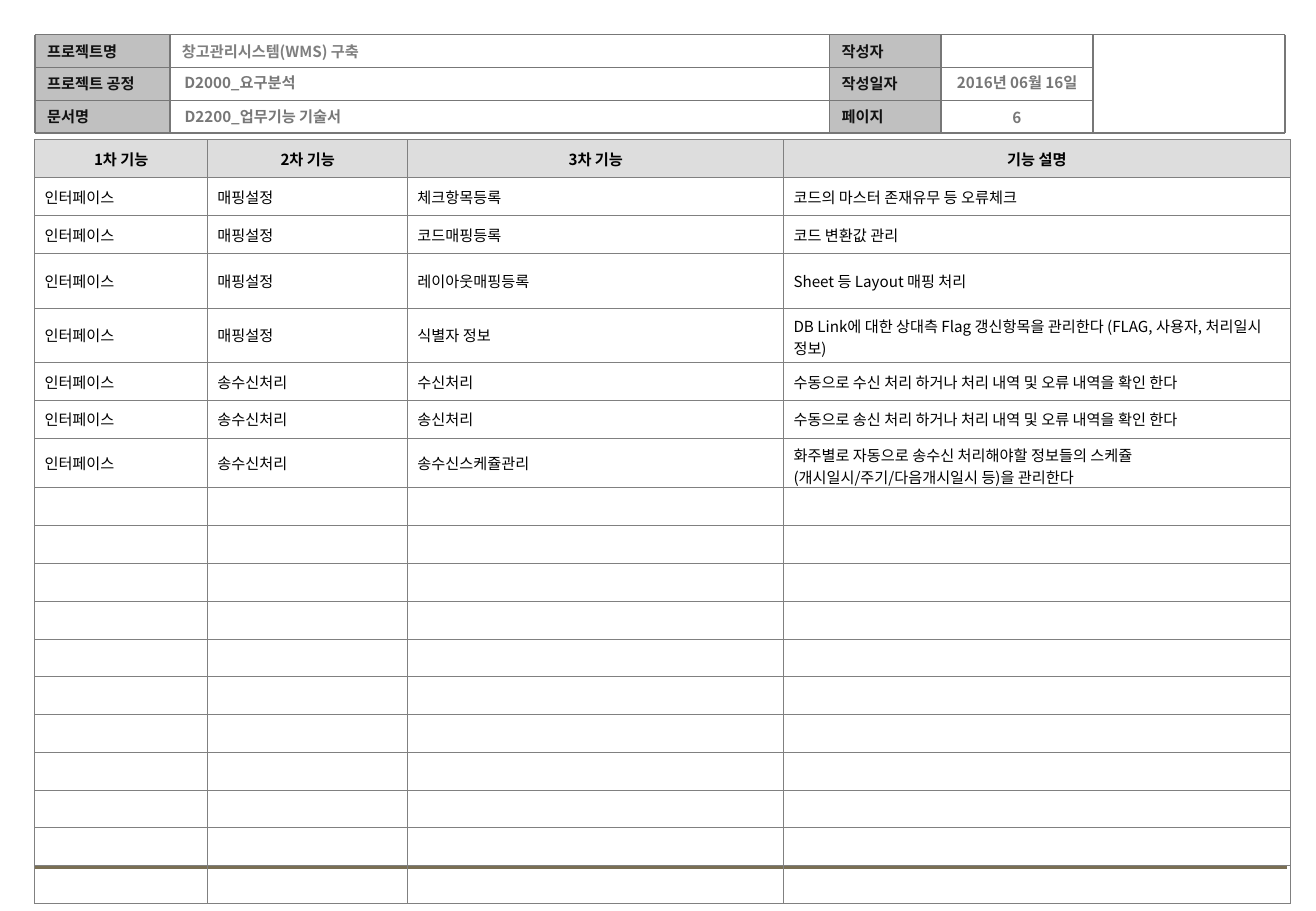
from lxml import etree
from pptx import Presentation
from pptx.dml import color
from pptx.enum import shapes, text
from pptx.oxml import ns
from pptx.util import Pt

FONT = "Noto Sans CJK KR"
GRID_X = [20.9, 100.8, 491.8, 558, 648, 761.8]
GRID_TOP, GRID_ROW = 20.5, 19.5
LABELS = [("프로젝트명", "작성자"), ("프로젝트 공정", "작성일자"), ("문서명", "페이지")]
COLUMNS = [102.5, 118.6, 223, 300]
ROWS = [22.8, 22.4, 22.4, 32.4, 32.4, 22.4, 22.4, 29.2] + [22.4] * 11
HEADINGS = ["1차 기능", "2차 기능", "3차 기능", "기능 설명"]
FUNCTIONS = [
    ("매핑설정", "체크항목등록", "코드의 마스터 존재유무 등 오류체크"),
    ("매핑설정", "코드매핑등록", "코드 변환값 관리"),
    ("매핑설정", "레이아웃매핑등록", "Sheet 등 Layout 매핑 처리"),
    ("매핑설정", "식별자 정보",
     "DB Link에 대한 상대측 Flag 갱신항목을 관리한다 (FLAG, 사용자, 처리일시 정보)"),
    ("송수신처리", "수신처리", "수동으로 수신 처리 하거나 처리 내역 및 오류 내역을 확인 한다"),
    ("송수신처리", "송신처리", "수동으로 송신 처리 하거나 처리 내역 및 오류 내역을 확인 한다"),
    ("송수신처리", "송수신스케쥴관리",
     "화주별로 자동으로 송수신 처리해야할 정보들의 스케쥴(개시일시/주기/다음개시일시 등)을 관리한다"),
]
WRAPPED_MARGINS = {(4, 3): (2.4, 0.6), (7, 3): (3.2, 0)}


def rgb(value):
    """Turn a hex string into a colour."""
    return color.RGBColor.from_string(value)


def apply(target, values):
    """Set each attribute named in a dict."""
    for name, value in values.items():
        setattr(target, name, value)


def write(para, words, ink, bold=False, align="LEFT"):
    """Write one formatted run in a paragraph."""
    para.alignment = getattr(text.PP_ALIGN, align)
    span = para.add_run()
    span.text = words
    apply(span.font, {"name": FONT, "size": Pt(9), "bold": bold})
    span.font.color.rgb = rgb(ink)
    span.font._element.set("kern", "0")
    east = etree.SubElement(span.font._element, ns.qn("a:ea"))
    east.set("typeface", FONT)


def fill_box(box, words, ink, align="LEFT"):
    """Put bold, vertically centred words in a box."""
    apply(box.text_frame, {
        "word_wrap": True, "auto_size": text.MSO_AUTO_SIZE.NONE,
        "vertical_anchor": text.MSO_ANCHOR.MIDDLE,
        "margin_left": Pt(7.2), "margin_right": Pt(7.2),
        "margin_top": Pt(3.6), "margin_bottom": Pt(3.6)})
    write(box.text_frame.paragraphs[0], words, ink, True, align)


def add_text(page, left, top, width, words, ink="777777", align="LEFT"):
    """Add a one-line value to the document header."""
    box = page.shapes.add_textbox(Pt(left), Pt(top), Pt(width), Pt(GRID_ROW))
    fill_box(box, words, ink, align)


def add_label(page, column, row, words):
    """Add a grey label cell to the document header."""
    left, right = GRID_X[column:column + 2]
    box = page.shapes.add_shape(
        shapes.MSO_SHAPE.RECTANGLE, Pt(left), Pt(GRID_TOP + row * GRID_ROW),
        Pt(right - left), Pt(GRID_ROW))
    box.shadow.inherit = False
    box.fill.solid()
    box.fill.fore_color.rgb = rgb("C0C0C0")
    box.line.fill.background()
    fill_box(box, words, "111111")


def add_line(page, start, end, ink="777777", width=1):
    """Draw a straight line between two points."""
    line = page.shapes.add_connector(
        shapes.MSO_CONNECTOR.STRAIGHT, *[Pt(value) for value in start + end])
    line.line.color.rgb = rgb(ink)
    line.line.width = Pt(width)
    etree.SubElement(line._element.spPr, ns.qn("a:effectLst"))


def add_header(page):
    """Build the document header with its values and rules."""
    for row, (left_label, right_label) in enumerate(LABELS):
        add_label(page, 0, row, left_label)
        add_label(page, 2, row, right_label)
    bottom = GRID_TOP + 3 * GRID_ROW
    for x in GRID_X:
        add_line(page, (x, GRID_TOP), (x, bottom))
    for row in range(4):
        right = GRID_X[-1] if row in (0, 3) else GRID_X[-2]
        y = GRID_TOP + row * GRID_ROW
        add_line(page, (GRID_X[0], y), (right, y))
    add_text(page, 100.8, 20.5, 391, "창고관리시스템(WMS) 구축", "7F7F7F")
    add_text(page, 102.2, 39.4, 345.6, "D2000_요구분석")
    add_text(page, 546.5, 39.4, 113, "2016년 06월 16일", align="CENTER")
    add_text(page, 560.2, 60.1, 85, "6", align="CENTER")
    title = page.shapes.title
    apply(title, {"left": Pt(102.2), "top": Pt(59.4),
                  "width": Pt(345.6), "height": Pt(GRID_ROW)})
    fill_box(title, "D2200_업무기능 기술서", "777777")


def add_borders(cell):
    """Give a cell thin grey borders on all sides."""
    properties = cell._tc.get_or_add_tcPr()
    for index, side in enumerate(("lnL", "lnR", "lnT", "lnB")):
        border = etree.Element(ns.qn("a:" + side), w=str(Pt(0.45)))
        paint = etree.SubElement(border, ns.qn("a:solidFill"))
        etree.SubElement(paint, ns.qn("a:srgbClr"), val="808080")
        properties.insert(index, border)


def format_cell(cell, row, column, words):
    """Format one table cell and write its words."""
    top, bottom = WRAPPED_MARGINS.get((row, column), (3.6, 3.6))
    apply(cell, {
        "vertical_anchor": text.MSO_ANCHOR.MIDDLE,
        "margin_left": Pt(5.8), "margin_right": Pt(5.8),
        "margin_top": Pt(top), "margin_bottom": Pt(bottom)})
    if row == 0:
        cell.fill.solid()
        cell.fill.fore_color.rgb = rgb("DDDDDD")
    else:
        cell.fill.background()
    add_borders(cell)
    para = cell.text_frame.paragraphs[0]
    if words:
        write(para, words, "000000", row == 0, "CENTER" if row == 0 else "LEFT")
    else:
        etree.SubElement(para._p, ns.qn("a:endParaRPr"), sz="900")


def add_function_table(page):
    """Build the table of functions with its empty rows."""
    table = page.shapes.add_table(
        len(ROWS), len(COLUMNS), Pt(20.6), Pt(82.6),
        Pt(sum(COLUMNS)), Pt(sum(ROWS))).table
    apply(table, {"horz_banding": False, "first_row": False})
    for column, width in zip(table.columns, COLUMNS):
        column.width = Pt(width)
    for row, height in zip(table.rows, ROWS):
        row.height = Pt(height)
    lines = [HEADINGS] + [("인터페이스",) + line for line in FUNCTIONS]
    lines += [[""] * len(COLUMNS)] * (len(ROWS) - len(lines))
    for row, line in enumerate(lines):
        for column, words in enumerate(line):
            format_cell(table.cell(row, column), row, column, words)


def main():
    """Build the function description page and save it."""
    deck = Presentation()
    deck.slide_width = Pt(780.12)
    deck.slide_height = Pt(540)
    page = deck.slides.add_slide(deck.slide_layouts[5])
    add_line(page, (20.4, 514), (763.2, 514), "7A6F54", 1.75)
    add_header(page)
    add_function_table(page)
    deck.save("out.pptx")


if __name__ == "__main__":
    main()
